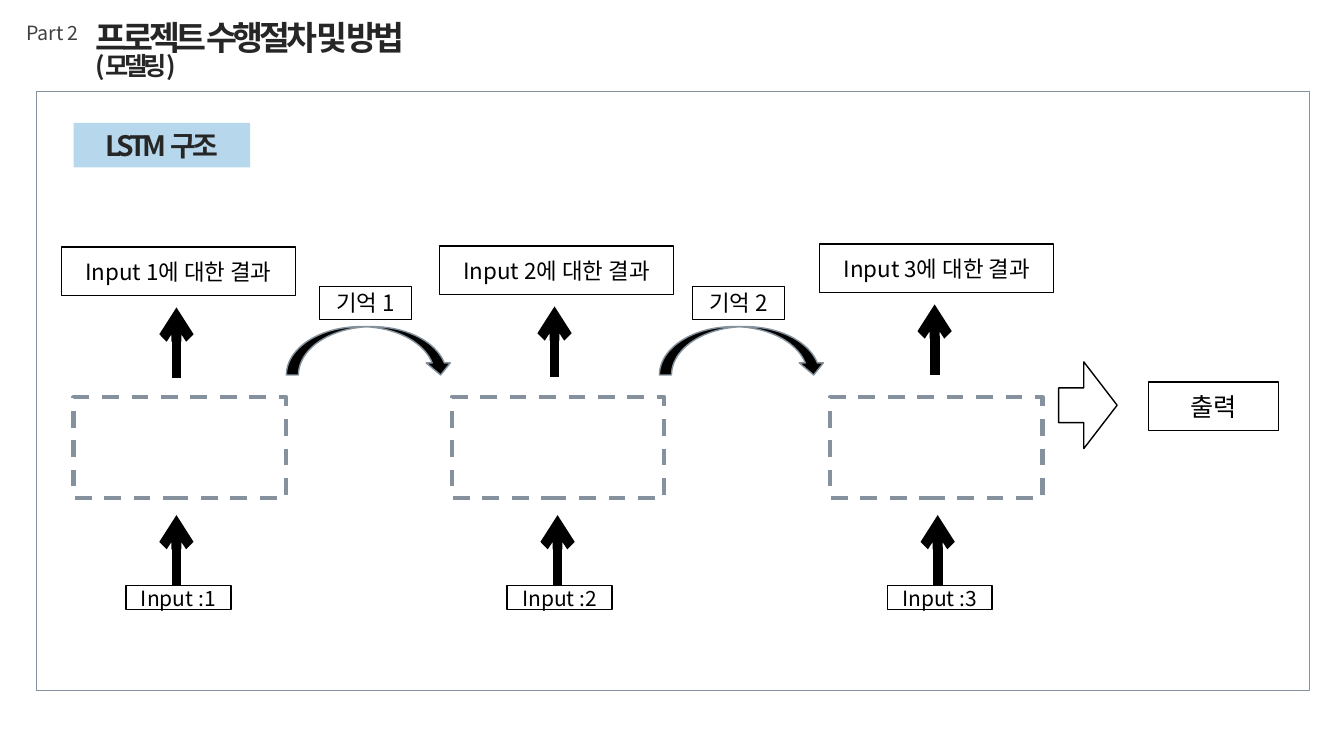
import pptx
import pptx.dml.color
import pptx.enum.dml
import pptx.enum.shapes
import pptx.enum.text
import pptx.oxml
import pptx.oxml.ns
import pptx.util

SHAPES = pptx.enum.shapes.MSO_SHAPE
ALIGN = pptx.enum.text.PP_ALIGN
ANCHOR = pptx.enum.text.MSO_ANCHOR
DASH = pptx.enum.dml.MSO_LINE.DASH
FONT = "Noto Sans CJK KR"
BLACK, WHITE, DARK, GRAY, SLATE, SKY = (
    "000000", "FFFFFF", "262626", "404040", "85929D", "B7D7EC")


def px(value):
    """Turn px, 100 to the inch, into EMU."""
    return pptx.util.Emu(value * 9144)


def color(hex_value):
    return pptx.dml.color.RGBColor.from_string(hex_value)


def add_element(parent, tag, **attributes):
    element = pptx.oxml.parse_xml(f"<a:{tag} {pptx.oxml.ns.nsdecls('a')}/>")
    for name, value in attributes.items():
        element.set(name, value)
    parent.append(element)


class SlideBuilder:
    def __init__(self, slide, font):
        self.slide = slide
        self.font = font

    def format_run(self, run, size, hex_value, bold=False, spacing=0):
        run.font.size = pptx.util.Pt(size)
        run.font.bold = bold
        run.font.color.rgb = color(hex_value)
        run.font.name = self.font
        properties = run.font._element
        if spacing:
            properties.set("spc", str(spacing * 100))
        add_element(properties, "ea", typeface=self.font)

    def title(self, box, heading, subheading):
        title = self.slide.shapes.title
        title.left, title.top, title.width, title.height = map(px, box)
        frame = title.text_frame
        frame.text = f"{heading}\v{subheading}"
        frame.word_wrap = False
        frame.auto_size = pptx.enum.text.MSO_AUTO_SIZE.NONE
        frame.vertical_anchor = ANCHOR.TOP
        paragraph = frame.paragraphs[0]
        paragraph.alignment = ALIGN.LEFT
        paragraph.line_spacing = 0.8
        for run, size in zip(paragraph.runs, (24, 18)):
            self.format_run(run, size, DARK, True, -3)

    def label(self, box, text, size):
        frame = self.slide.shapes.add_textbox(*map(px, box)).text_frame
        frame.text = text
        frame.word_wrap = False
        self.format_run(frame.paragraphs[0].runs[0], size, GRAY)

    def shape(self, kind, box, fill=None, line=None, width=1, dash=None):
        shape = self.slide.shapes.add_shape(kind, *map(px, box))
        shape.shadow.inherit = False
        if fill:
            shape.fill.solid()
            shape.fill.fore_color.rgb = color(fill)
        else:
            shape.fill.background()
        if line:
            shape.line.color.rgb = color(line)
            shape.line.width = pptx.util.Pt(width)
            shape.line.dash_style = dash
        else:
            shape.line.fill.background()
        return shape

    def text_box(self, box, text, size, fill=WHITE, line=BLACK,
                 hex_value=BLACK, **style):
        frame = self.shape(SHAPES.RECTANGLE, box, fill, line).text_frame
        frame.text = text
        frame.word_wrap = True
        frame.vertical_anchor = ANCHOR.MIDDLE
        paragraph = frame.paragraphs[0]
        paragraph.alignment = ALIGN.CENTER
        self.format_run(paragraph.runs[0], size, hex_value, **style)

    def up_arrow(self, x, top, height):
        arrow = self.slide.shapes.add_connector(
            pptx.enum.shapes.MSO_CONNECTOR.STRAIGHT,
            px(x), px(top), px(x), px(top + height))
        arrow.line.color.rgb = color(BLACK)
        arrow.line.width = pptx.util.Pt(7)
        add_element(arrow.line._get_or_add_ln(), "headEnd", type="arrow")
        add_element(arrow._element.spPr, "effectLst")


def main():
    presentation = pptx.Presentation()
    presentation.slide_width, presentation.slide_height = px(1333), px(750)
    slide = presentation.slides.add_slide(presentation.slide_layouts[5])
    builder = SlideBuilder(slide, FONT)

    builder.shape(SHAPES.RECTANGLE, (36, 91, 1263, 594), line=SLATE)
    builder.label((16, 16, 73, 34), "Part 2", 14)
    builder.title((85, 19, 410, 50), "프로젝트 수행절차 및 방법 ", "(모델링)")
    builder.text_box((73, 122, 175, 44), "LSTM  구조", 20, SKY, None, DARK,
                     bold=True, spacing=-3)

    # Each step: centre of the input, then centre and top of the result
    steps = [(175, 175, 245), (553, 550, 244), (930, 927, 242)]
    for index, (input_x, result_x, result_top) in enumerate(steps):
        number = index + 1
        builder.shape(SHAPES.RECTANGLE, (73 + 375 * index, 394, 211, 100),
                      line=SLATE, width=3, dash=DASH)
        builder.up_arrow(input_x, 511, 70)
        builder.text_box((input_x - 50, 581, 104, 24), f"Input :{number}", 15)
        builder.up_arrow(result_x, result_top + 60, 70)
        builder.text_box((result_x - 114, result_top, 232, 48),
                         f"Input {number}에 대한 결과", 16)

    for index in range(2):
        left = 284 + 370 * index
        builder.shape(SHAPES.CURVED_DOWN_ARROW, (left, 324, 165, 48),
                      BLACK, SLATE)
        builder.text_box((left + 33, 284, 91, 33), f"기억 {index + 1}", 16)

    output_arrow = builder.shape(SHAPES.DOWN_ARROW, (1036, 373, 86, 58),
                                 WHITE, BLACK)
    output_arrow.rotation = 270
    output_arrow.adjustments[0] = 0.4
    output_arrow.adjustments[1] = 0.57
    builder.text_box((1139, 379, 129, 48), "출력", 18)

    presentation.save("out.pptx")


if __name__ == "__main__":
    main()
